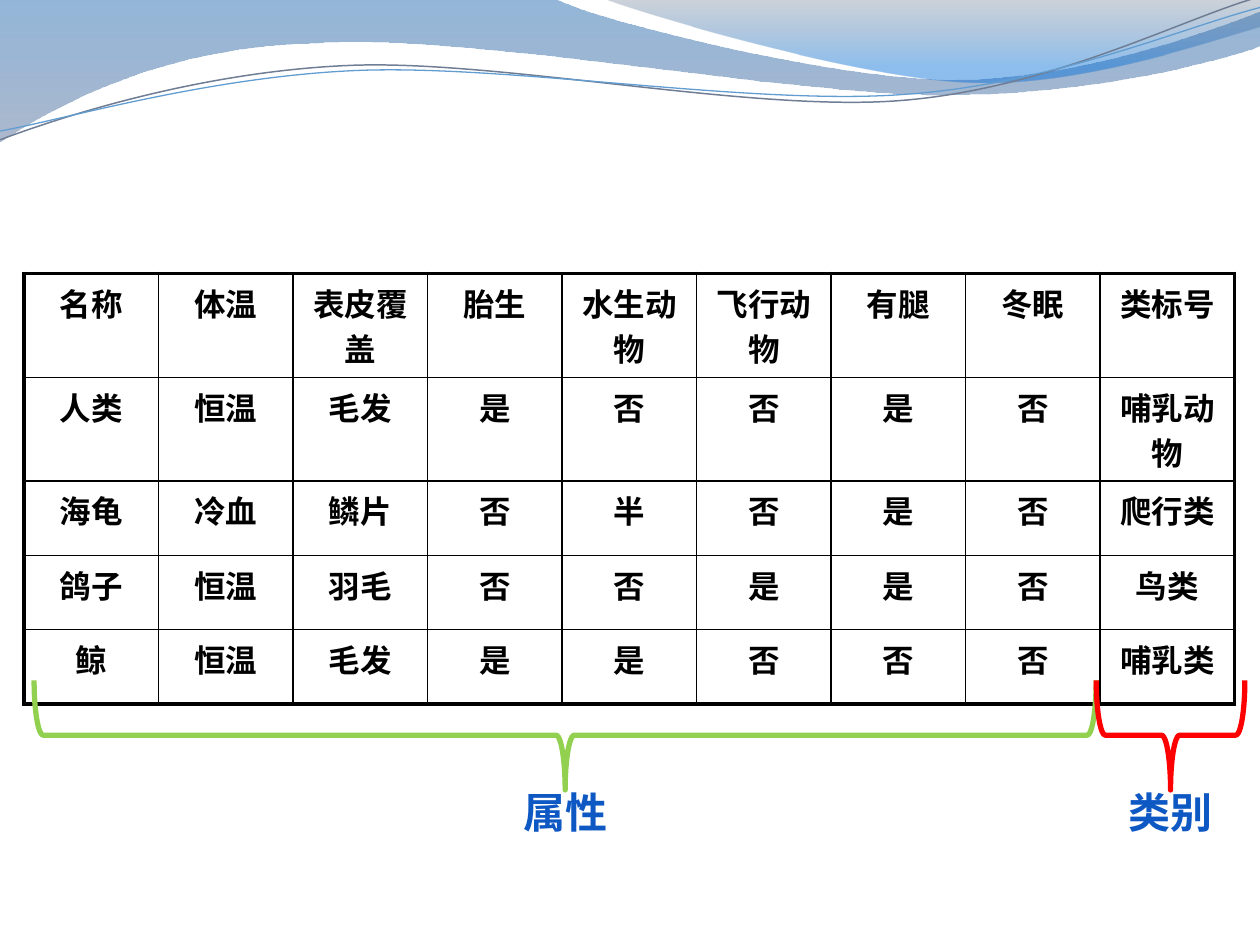
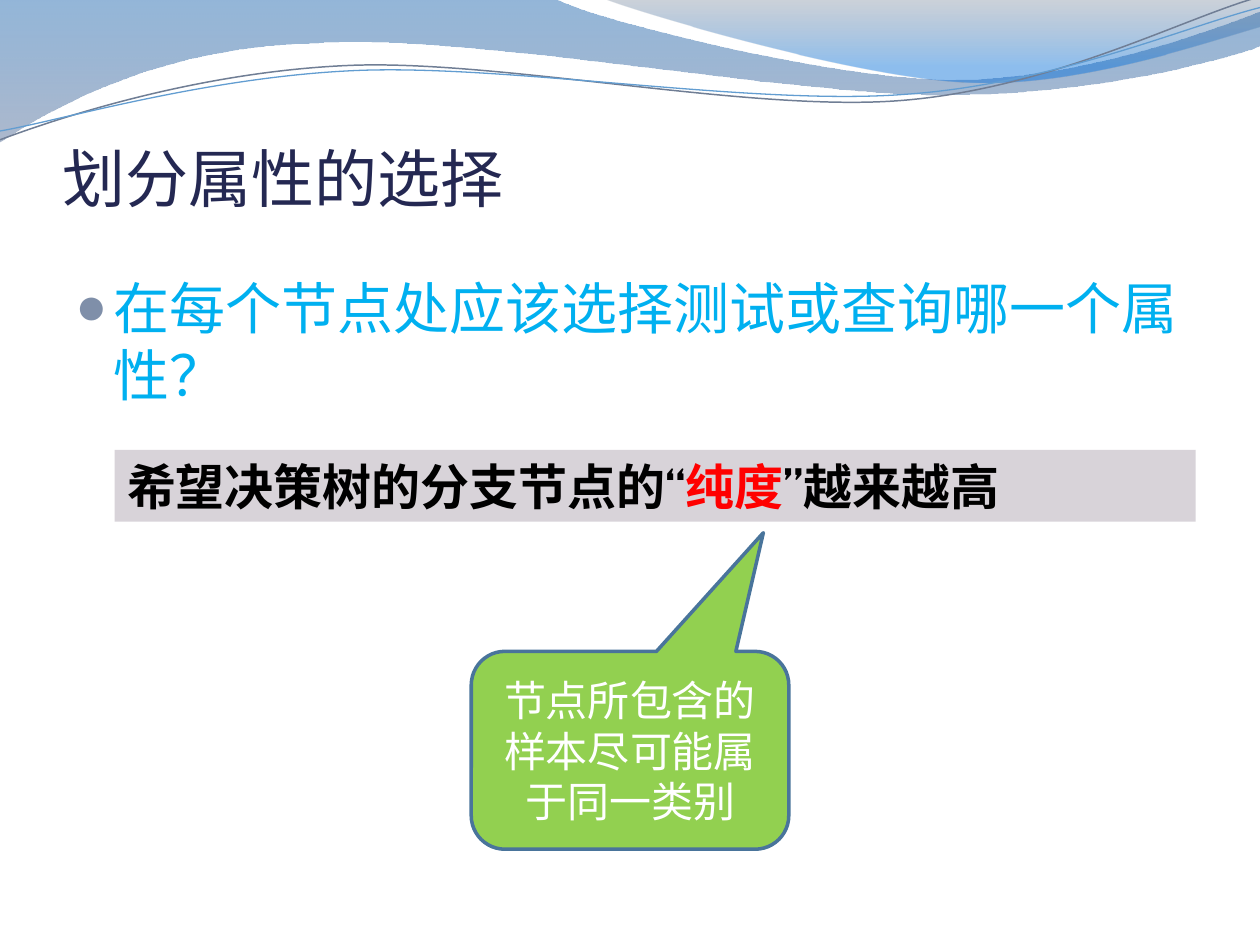
from dataclasses import dataclass
from typing import Optional

import pptx
import pptx.dml.color
import pptx.enum.lang
import pptx.enum.shapes
import pptx.enum.text
import pptx.oxml
import pptx.oxml.ns
import pptx.util
from lxml import etree

Inches = pptx.util.Inches
Pt = pptx.util.Pt
qn = pptx.oxml.ns.qn
MSO_SHAPE = pptx.enum.shapes.MSO_SHAPE
PP_ALIGN = pptx.enum.text.PP_ALIGN
MSO_ANCHOR = pptx.enum.text.MSO_ANCHOR
CHINESE = pptx.enum.lang.MSO_LANGUAGE_ID.SIMPLIFIED_CHINESE

COLORS = {
    "wave_top": "125EAA", "wave_bottom": "697FA4",
    "crest_top": "596982", "crest_bottom": "0670DA",
    "line_grey": "707E95", "line_blue": "629DD1",
    "black": "000000", "white": "FFFFFF", "red": "FF0000", "green": "92D050",
    "label": "0E58C4", "title": "242852", "question": "00B0F0",
    "bullet": "7F8FA9", "bar": "D8D3D9", "callout_line": "49749B",
}
CABIN = "Cabin"
SERIF = "Times New Roman"

Point = tuple[float, float]


@dataclass(frozen=True)
class Stop:
    position: float
    color: str
    alpha: int


@dataclass(frozen=True)
class Wave:
    """An outline; a segment of one point is a line, of three a cubic curve."""
    start: Point
    segments: tuple[tuple[Point, ...], ...]
    stops: tuple[Stop, ...] = ()
    line: Optional[str] = None
    line_width: float = 0


@dataclass(frozen=True)
class TextStyle:
    size: int
    color: str
    bold: bool = False
    font: str = CABIN
    align: PP_ALIGN = PP_ALIGN.LEFT


@dataclass(frozen=True)
class Brace:
    """A brace opening upwards, with its label underneath."""
    left: float
    width: float
    color: str
    label: str
    label_left: float


WAVES = (
    Wave((0, 0), (
        ((4.4, -0.01),),
        ((4.76, 0.17), (6.64, 0.63), (7.58, 0.63)),
        ((8.53, 0.63), (9.58, 0.26), (10, 0.09)),
        ((10.01, 0.36),),
        ((9.83, 0.44), (8.7, 0.76), (7.46, 0.75)),
        ((6.22, 0.75), (3.82, 0.28), (2.57, 0.34)),
        ((1.29, 0.36), (0.46, 0.83), (-0.01, 1.13)),
        ((0, 0),),
    ), stops=(Stop(0, "wave_top", 45), Stop(1, "wave_bottom", 55))),
    Wave((4.79, -0.01), (
        ((5.09, 0.11), (6.82, 0.62), (7.69, 0.65)),
        ((8.56, 0.69), (9.61, 0.32), (10, 0.21)),
        ((10, 0),),
        ((4.79, -0.01),),
    ), stops=(Stop(0, "crest_top", 30), Stop(0.8, "crest_bottom", 45))),
    Wave((0, 1.11), (
        ((0.48, 0.93), (1.58, 0.57), (2.77, 0.52)),
        ((3.95, 0.47), (5.93, 0.89), (7.13, 0.8)),
        ((8.33, 0.71), (9.38, 0.15), (9.98, -0.02)),
    ), line="line_grey", line_width=0.85),
    Wave((0, 1.04), (
        ((0.47, 0.96), (1.64, 0.61), (2.83, 0.56)),
        ((4.03, 0.51), (5.97, 0.84), (7.17, 0.75)),
        ((8.36, 0.67), (9.41, 0.21), (10, 0.06)),
    ), line="line_blue", line_width=0.75),
)

ANIMALS = (
    ("名称", "体温", "表皮覆盖", "胎生", "水生动物", "飞行动物", "有腿", "冬眠", "类标号"),
    ("人类", "恒温", "毛发", "是", "否", "否", "是", "否", "哺乳动物"),
    ("海龟", "冷血", "鳞片", "否", "半", "否", "是", "否", "爬行类"),
    ("鸽子", "恒温", "羽毛", "否", "否", "是", "是", "否", "鸟类"),
    ("鲸", "恒温", "毛发", "是", "是", "否", "否", "否", "哺乳类"),
)
ROW_HEIGHTS = (0.7, 0.7, 0.59, 0.59, 0.59)
TABLE_WIDTH = 9.61

BRACES = (
    Brace(0.27, 8.43, "green", "属性", 4.06),
    Brace(8.7, 1.18, "red", "类别", 8.86),
)
BRACE_TOP, BRACE_HEIGHT = 5.4, 0.87

CELL_STYLE = TextStyle(18, "black", bold=True, font=SERIF, align=PP_ALIGN.CENTER)
LABEL_STYLE = TextStyle(24, "label", bold=True)
TITLE_STYLE = TextStyle(36, "title")
QUESTION_STYLE = TextStyle(32, "question")
GOAL_STYLE = TextStyle(28, "black", bold=True)
CALLOUT_STYLE = TextStyle(24, "white", align=PP_ALIGN.CENTER)


def rgb(name: str) -> pptx.dml.color.RGBColor:
    return pptx.dml.color.RGBColor.from_string(COLORS[name])


def box(left: float, top: float, width: float, height: float) -> tuple:
    return Inches(left), Inches(top), Inches(width), Inches(height)


def style_paragraph(paragraph, style: TextStyle) -> None:
    paragraph.alignment = style.align
    font = paragraph.font
    font.name, font.size, font.bold = style.font, Pt(style.size), style.bold
    font.color.rgb = rgb(style.color)
    if style.font == CABIN:
        for latin in paragraph._p.iter(qn("a:latin")):
            latin.addnext(etree.Element(qn("a:ea"), typeface=style.font))
    for run in paragraph.runs:
        run.font.language_id = CHINESE


def add_text(slide, text: str, area: tuple, style: TextStyle):
    frame = slide.shapes.add_textbox(*area).text_frame
    frame.word_wrap = True
    frame.text = text
    style_paragraph(frame.paragraphs[0], style)
    return frame


def paint(shape, fill: Optional[str], line: Optional[str], line_width: float) -> None:
    shape.shadow.inherit = False
    if fill:
        shape.fill.solid()
        shape.fill.fore_color.rgb = rgb(fill)
    else:
        shape.fill.background()
    if line:
        shape.line.color.rgb = rgb(line)
        shape.line.width = Pt(line_width)
    else:
        shape.line.fill.background()


def add_plain_shape(slide, preset, area: tuple, fill: Optional[str] = None,
                    line: Optional[str] = None, line_width: float = 0):
    shape = slide.shapes.add_shape(preset, *area)
    paint(shape, fill, line, line_width)
    return shape


def bend_segments(shape, wave: Wave) -> None:
    """Turn the straight segments that have control points into cubic curves."""
    straights = list(shape._element.spPr.iter(qn("a:lnTo")))
    for straight, segment in zip(straights, wave.segments):
        if len(segment) == 3:
            curve = etree.Element(qn("a:cubicBezTo"))
            for x, y in segment:
                etree.SubElement(curve, qn("a:pt"), x=str(Inches(x) - shape.left),
                                 y=str(Inches(y) - shape.top))
            straight.getparent().replace(straight, curve)


def add_wave(slide, wave: Wave) -> None:
    builder = slide.shapes.build_freeform(*map(Inches, wave.start))
    ends = [tuple(map(Inches, segment[-1])) for segment in wave.segments]
    builder.add_line_segments(ends, close=bool(wave.stops))
    shape = builder.convert_to_shape()
    bend_segments(shape, wave)
    paint(shape, None, wave.line, wave.line_width)
    if wave.stops:
        shape.fill.gradient()
        shape.fill.gradient_angle = 270
        for target, stop in zip(shape.fill.gradient_stops, wave.stops):
            target.position = stop.position
            target.color.rgb = rgb(stop.color)
        for color, stop in zip(shape._element.spPr.iter(qn("a:srgbClr")), wave.stops):
            etree.SubElement(color, qn("a:alpha"), val=str(stop.alpha * 1000))


def add_wave_slide(deck):
    slide = deck.slides.add_slide(deck.slide_layouts[6])
    for wave in WAVES:
        add_wave(slide, wave)
    return slide


def border_cell(cell, edges: dict[str, bool]) -> None:
    """Draw the four borders, thick where the edge is an outer one."""
    properties = cell._tc.get_or_add_tcPr()
    for side, outer in edges.items():
        width = Pt(2.25 if outer else 1)
        line = etree.SubElement(properties, qn(f"a:ln{side}"), w=str(width))
        solid = etree.SubElement(line, qn("a:solidFill"))
        etree.SubElement(solid, qn("a:srgbClr"), val=COLORS["black"])


def add_animal_table(slide) -> None:
    rows, columns = len(ANIMALS), len(ANIMALS[0])
    area = box(0.19, 2.17, TABLE_WIDTH, sum(ROW_HEIGHTS))
    table = slide.shapes.add_table(rows, columns, *area).table
    table.first_row = table.horz_banding = False
    for column in table.columns:
        column.width = Inches(TABLE_WIDTH / columns)
    for r, (animal, height) in enumerate(zip(ANIMALS, ROW_HEIGHTS)):
        table.rows[r].height = Inches(height)
        for c, value in enumerate(animal):
            cell = table.cell(r, c)
            cell.text = value
            style_paragraph(cell.text_frame.paragraphs[0], CELL_STYLE)
            border_cell(cell, {"L": c == 0, "R": c == columns - 1,
                               "T": r == 0, "B": r == rows - 1})
            cell.fill.background()


def add_brace(slide, brace: Brace) -> None:
    center_x = brace.left + brace.width / 2
    center_y = BRACE_TOP + BRACE_HEIGHT / 2
    area = box(center_x - BRACE_HEIGHT / 2, center_y - brace.width / 2,
               BRACE_HEIGHT, brace.width)
    shape = add_plain_shape(slide, MSO_SHAPE.RIGHT_BRACE, area,
                            line=brace.color, line_width=3)
    shape.rotation = 90
    add_text(slide, brace.label, box(brace.label_left, 6.19, 1.02, 0.5), LABEL_STYLE)


def add_bullet(paragraph, indent: float) -> None:
    properties = paragraph._p.get_or_add_pPr()
    properties.set("marL", str(Inches(indent)))
    properties.set("indent", str(-Inches(indent)))
    color = etree.Element(qn("a:buClr"))
    etree.SubElement(color, qn("a:srgbClr"), val=COLORS["bullet"])
    size = etree.Element(qn("a:buSzPct"), val="95000")
    font = etree.Element(qn("a:buFont"), typeface=SERIF)
    mark = etree.Element(qn("a:buChar"), char="●")
    for position, part in enumerate((color, size, font, mark)):
        properties.insert(position, part)


def build_attribute_slide(deck) -> None:
    slide = add_wave_slide(deck)
    add_animal_table(slide)
    for brace in BRACES:
        add_brace(slide, brace)


def build_selection_slide(deck) -> None:
    slide = add_wave_slide(deck)

    title = add_text(slide, "划分属性的选择", box(0.5, 0.92, 9, 0.79), TITLE_STYLE)
    title.vertical_anchor = MSO_ANCHOR.BOTTOM
    title.margin_left = title.margin_right = title.margin_bottom = 0

    question = add_text(slide, "在每个节点处应该选择测试或查询哪一个属性？",
                        box(0.5, 2.12, 9, 0.77), QUESTION_STYLE)
    add_bullet(question.paragraphs[0], 0.3)

    bar = add_plain_shape(slide, MSO_SHAPE.RECTANGLE, box(0.91, 3.57, 8.58, 0.57), fill="bar")
    goal = bar.text_frame.paragraphs[0]
    for text in ("希望决策树的分支节点的“", "纯度", "”越来越高"):
        goal.add_run().text = text
    style_paragraph(goal, GOAL_STYLE)
    goal.runs[1].font.color.rgb = rgb("red")

    callout = add_plain_shape(slide, MSO_SHAPE.ROUNDED_RECTANGULAR_CALLOUT,
                              box(3.74, 5.17, 2.52, 1.57), "green", "callout_line", 2)
    for index, value in enumerate((0.42, -1.1, 0.17)):
        callout.adjustments[index] = value
    callout.text_frame.text = "节点所包含的样本尽可能属于同一类别"
    style_paragraph(callout.text_frame.paragraphs[0], CALLOUT_STYLE)


def main() -> None:
    deck = pptx.Presentation()
    deck.slide_width, deck.slide_height = Inches(10), Inches(7.5)
    build_attribute_slide(deck)
    build_selection_slide(deck)
    deck.save("out.pptx")


if __name__ == "__main__":
    main()
